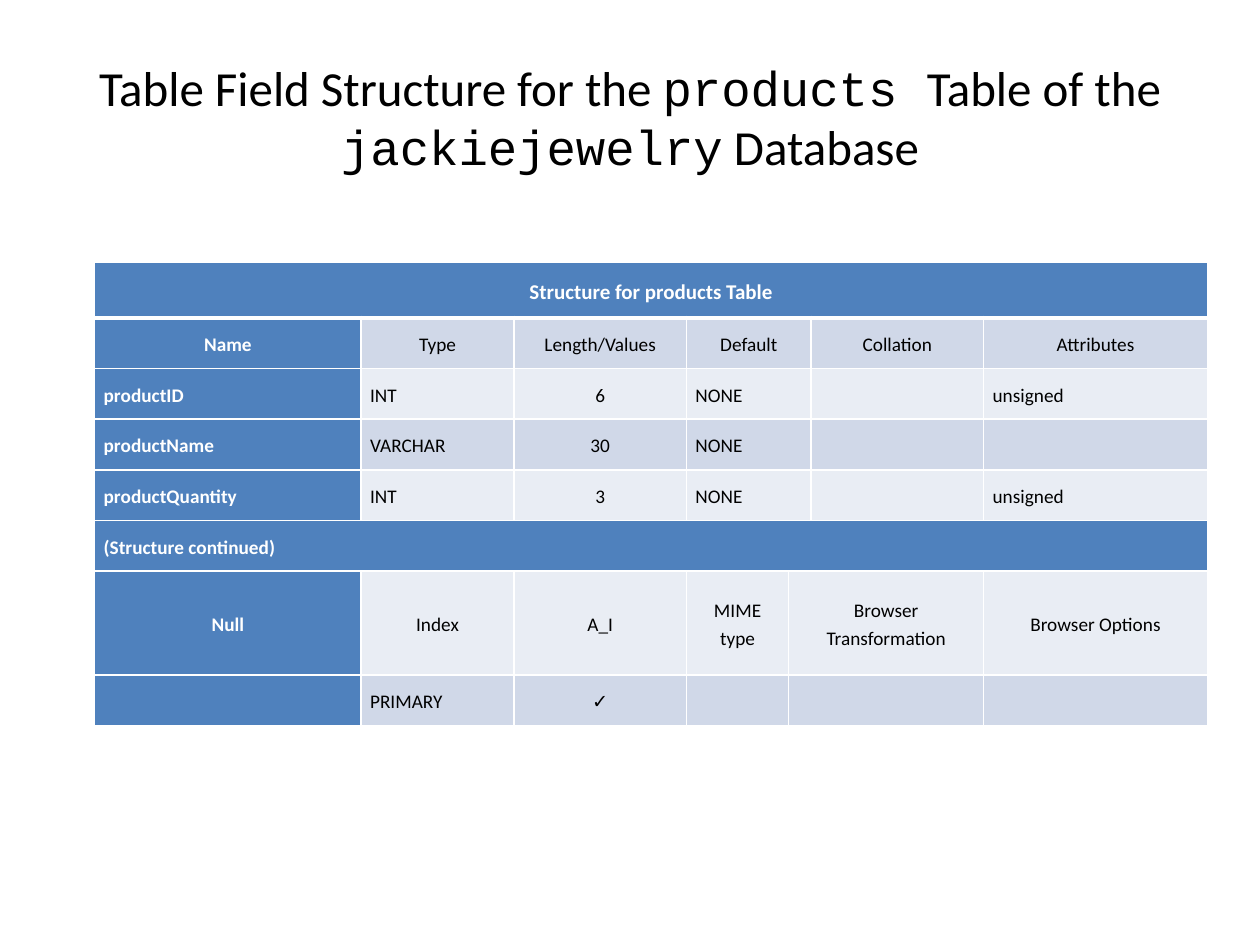
import pptx
import pptx.util
import pptx.dml.color
import pptx.enum.text
import pptx.oxml
import pptx.oxml.ns
from pptx.util import Cm

COLORS = {"header": "4F81BD", "dark_band": "D0D8E8", "light_band": "E9EDF4",
          "white": "FFFFFF", "black": "000000"}
BODY_FONT, CODE_FONT = "Calibri", "Courier New"
TITLE = [("Table Field Structure for the ", BODY_FONT), ("products ", CODE_FONT),
         ("Table of the ", BODY_FONT), ("jackiejewelry", CODE_FONT),
         (" Database", BODY_FONT)]
COLUMN_WIDTHS = [5.37, 3.08, 3.48, 2.06, 0.45, 3.48, 4.51]
ROW_HEIGHTS = [1.12, 1.02, 1.02, 1.02, 1.02, 1.02, 2.1, 1.02]
BANNER, FIELDS, OPTIONS = [7], [1, 1, 1, 2, 1, 1], [1, 1, 1, 1, 2, 1]
ROWS = [
    (BANNER, ["Structure for products Table"]),
    (FIELDS, ["Name", "Type", "Length/Values", "Default", "Collation", "Attributes"]),
    (FIELDS, ["productID", "INT", "6", "NONE", "", "unsigned"]),
    (FIELDS, ["productName", "VARCHAR", "30", "NONE", "", ""]),
    (FIELDS, ["productQuantity", "INT", "3", "NONE", "", "unsigned"]),
    (BANNER, ["(Structure continued)"]),
    (OPTIONS, ["Null", "Index", "A_I", "MIME type", "Browser Transformation", "Browser Options"]),
    (OPTIONS, ["", "PRIMARY", "✓", "", "", ""]),
]
CENTERED_ROWS = (0, 1, 6)
CENTERED_COLUMN = 2


def rgb(name):
    return pptx.dml.color.RGBColor.from_string(COLORS[name])


def set_borders(cell, bottom_width):
    properties = cell._tc.get_or_add_tcPr()
    widths = {"lnL": 1, "lnR": 1, "lnT": 1, "lnB": bottom_width}
    for position, (side, width) in enumerate(widths.items()):
        line = pptx.oxml.parse_xml(
            f'<a:{side} {pptx.oxml.ns.nsdecls("a")} w="{pptx.util.Pt(width)}"><a:solidFill>'
            f'<a:srgbClr val="{COLORS["white"]}"/></a:solidFill></a:{side}>')
        properties.insert(position, line)


def fill_cell(cell, text, row, column):
    is_header = column == 0
    band = "dark_band" if row % 2 else "light_band"
    cell.fill.solid()
    cell.fill.fore_color.rgb = rgb("header" if is_header else band)
    cell.vertical_anchor = pptx.enum.text.MSO_ANCHOR.MIDDLE
    cell.margin_left = cell.margin_right = Cm(0.18)
    cell.margin_top = cell.margin_bottom = 0
    cell.text = text
    paragraph = cell.text_frame.paragraphs[0]
    centered = row in CENTERED_ROWS or column == CENTERED_COLUMN
    alignment = pptx.enum.text.PP_ALIGN
    paragraph.alignment = alignment.CENTER if centered else alignment.LEFT
    paragraph.line_spacing = 1.15
    paragraph.space_before = paragraph.space_after = pptx.util.Pt(3)
    paragraph.font.name = BODY_FONT
    paragraph.font.size = pptx.util.Pt(12 if row == 0 else 11)
    paragraph.font.bold = is_header
    paragraph.font.color.rgb = rgb("white" if is_header else "black")


def add_title(slide):
    title = slide.shapes.title
    title.left, title.top, title.width, title.height = Cm(1.27), Cm(0.76), Cm(22.86), Cm(3.18)
    title.text_frame.vertical_anchor = pptx.enum.text.MSO_ANCHOR.MIDDLE
    paragraph = title.text_frame.paragraphs[0]
    paragraph.alignment = pptx.enum.text.PP_ALIGN.CENTER
    paragraph.font.size = pptx.util.Pt(28)
    paragraph.font.color.rgb = rgb("black")
    for text, font_name in TITLE:
        run = paragraph.add_run()
        run.text = text
        run.font.name = font_name


def add_structure_table(slide):
    table = slide.shapes.add_table(
        len(ROW_HEIGHTS), len(COLUMN_WIDTHS), Cm(1.91), Cm(5.29),
        Cm(sum(COLUMN_WIDTHS)), Cm(sum(ROW_HEIGHTS))).table
    table.first_col = True
    for column, width in zip(table.columns, COLUMN_WIDTHS):
        column.width = Cm(width)
    for table_row, height in zip(table.rows, ROW_HEIGHTS):
        table_row.height = Cm(height)
    for row, (spans, texts) in enumerate(ROWS):
        column = 0
        for span, text in zip(spans, texts):
            cell = table.cell(row, column)
            if span > 1:
                cell.merge(table.cell(row, column + span - 1))
            fill_cell(cell, text, row, column)
            column += span
        for column in range(len(COLUMN_WIDTHS)):
            set_borders(table.cell(row, column), 3 if row == 0 else 1)


def main():
    presentation = pptx.Presentation()
    presentation.slide_width, presentation.slide_height = Cm(25.4), Cm(19.05)
    slide = presentation.slides.add_slide(presentation.slide_layouts[5])
    add_title(slide)
    add_structure_table(slide)
    presentation.save("out.pptx")


if __name__ == "__main__":
    main()
